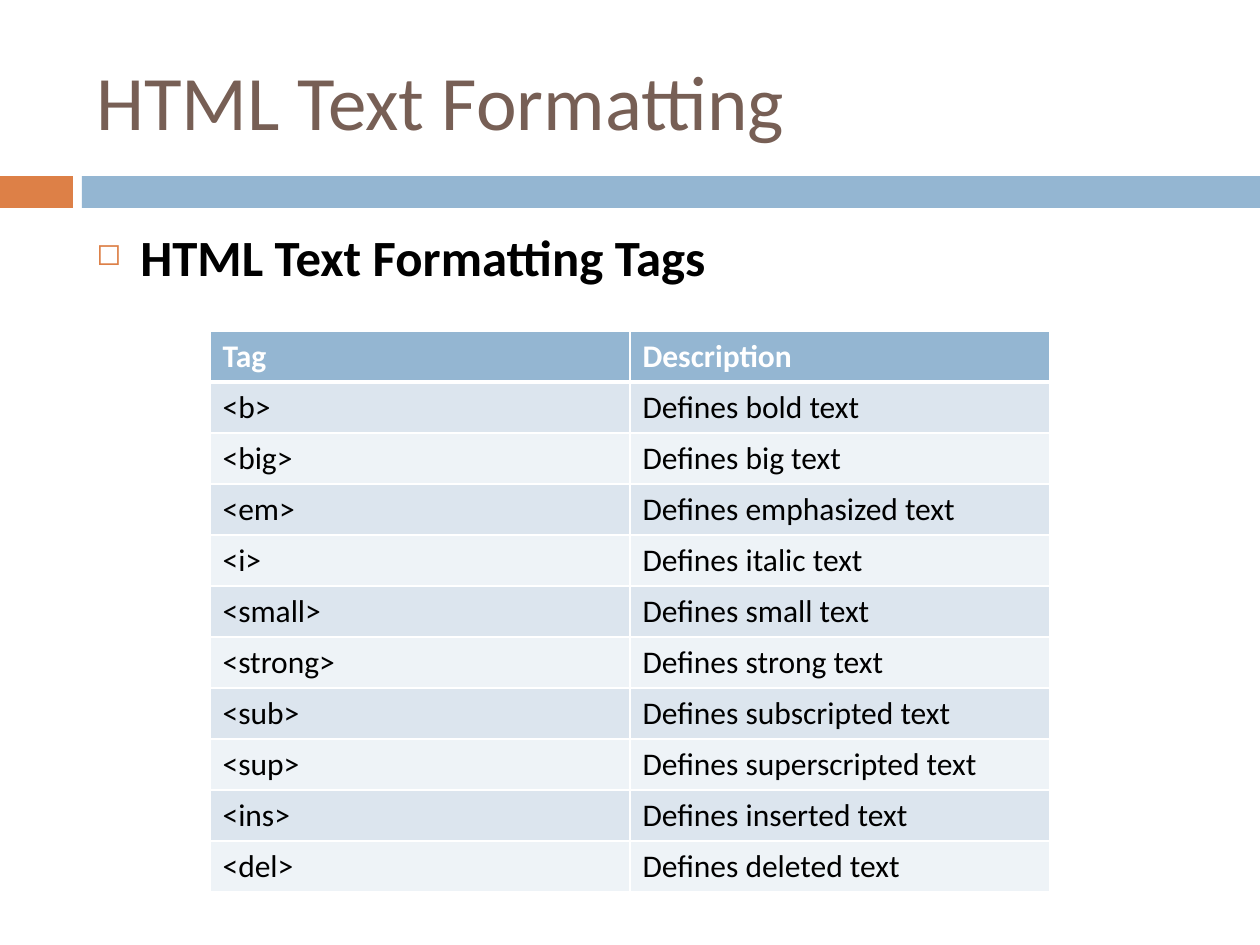
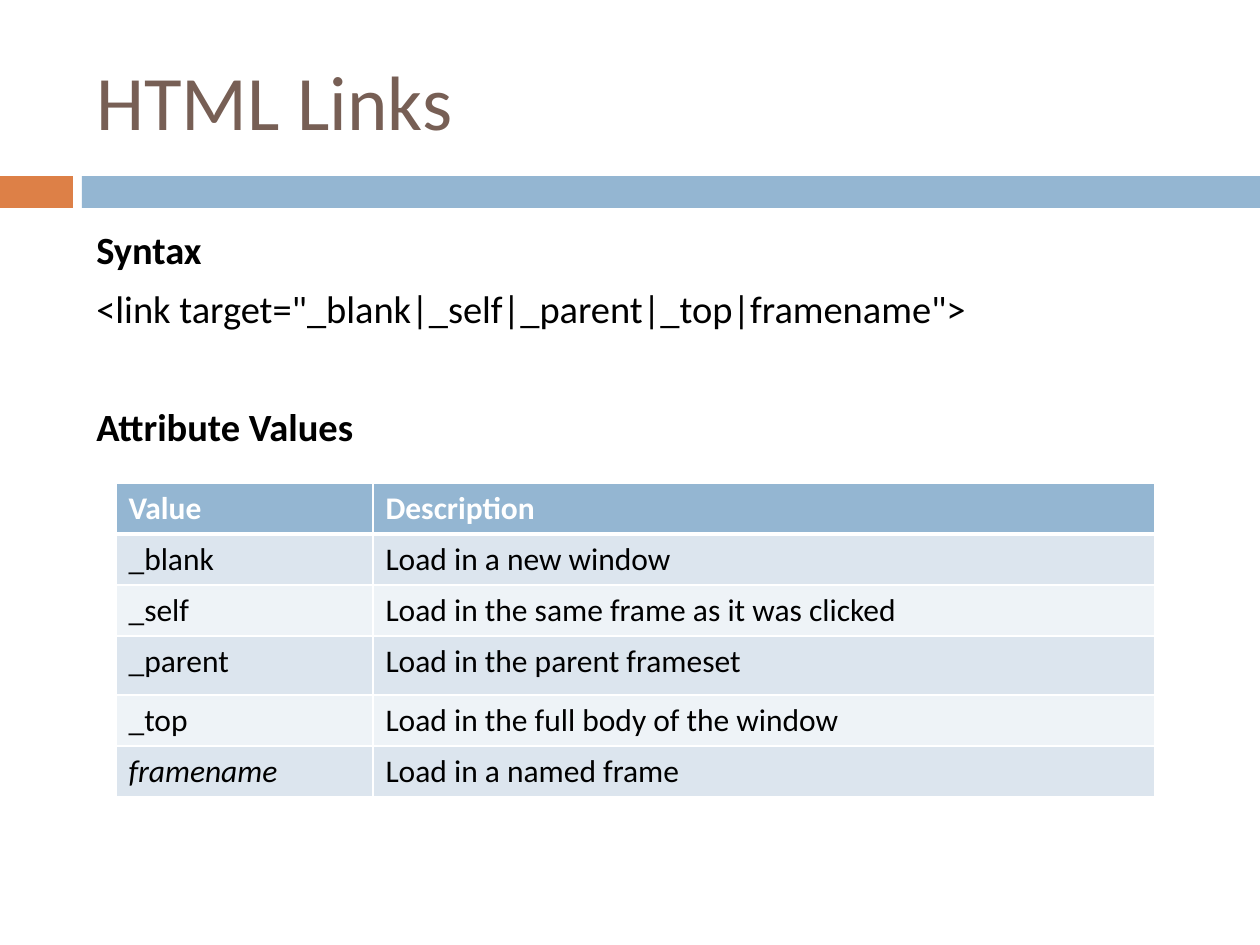
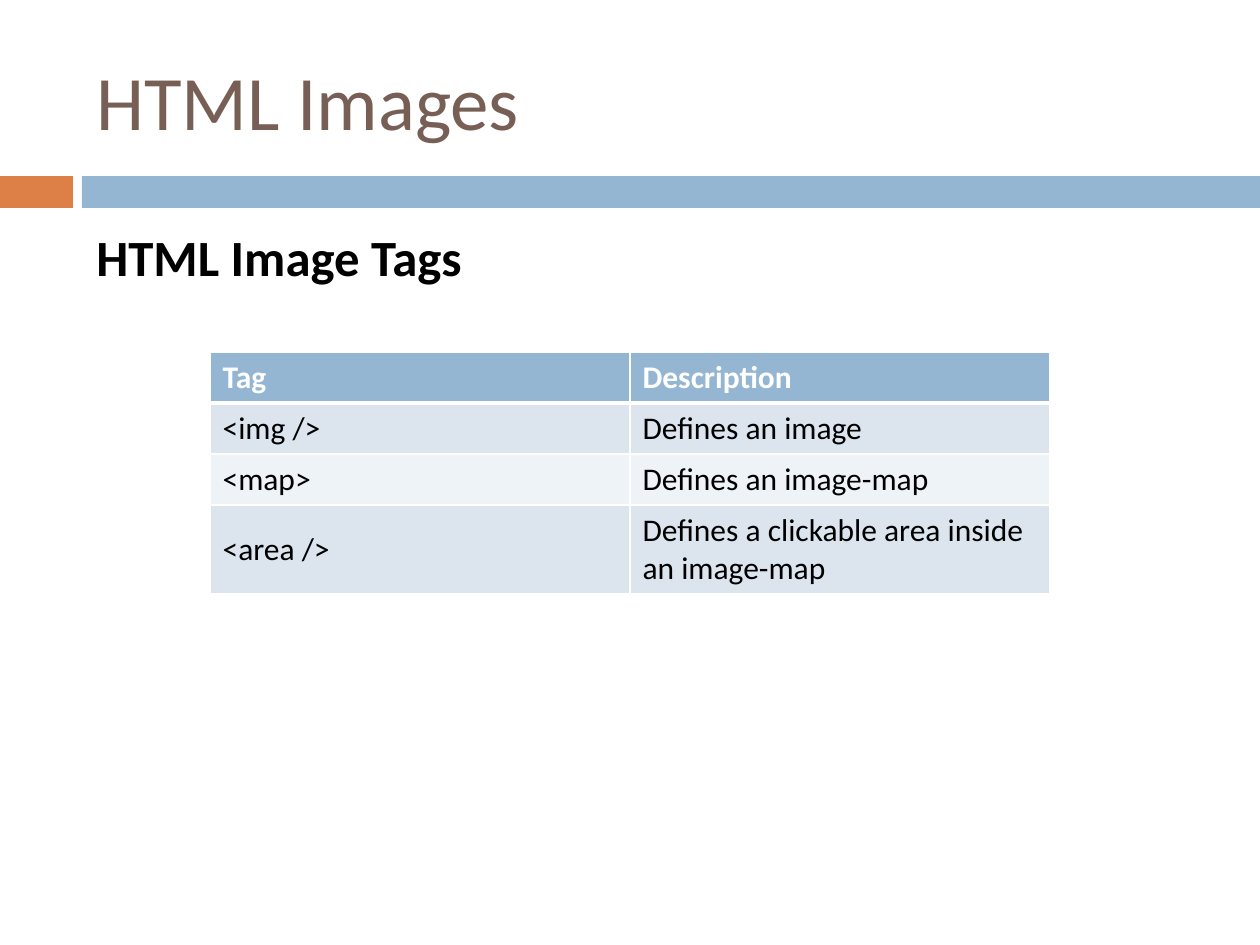
from dataclasses import dataclass

from lxml.etree import SubElement
from pptx import Presentation
from pptx.dml.color import RGBColor
from pptx.enum.shapes import MSO_SHAPE
from pptx.enum.text import MSO_ANCHOR
from pptx.oxml.ns import qn
from pptx.slide import Slide
from pptx.table import _Cell
from pptx.text.text import TextFrame, _Paragraph
from pptx.util import Emu, Pt

PX_PER_INCH = 126
FONT = "Calibri"
ORANGE, BLUE, BROWN = "DD8047", "94B6D2", "775F55"
BLACK, WHITE = "000000", "FFFFFF"
ROW_TINTS = ("DCE5EE", "EEF3F7")
ROW_HEIGHT = 51
BULLET_INDENT = 44


@dataclass(frozen=True)
class Box:
    left: int
    top: int
    width: int
    height: int


@dataclass(frozen=True)
class Line:
    text: str
    size: int
    bold: bool = True
    space_before: int = 0
    bullet: bool = False


@dataclass(frozen=True)
class TagTable:
    left: int
    top: int
    columns: tuple[int, ...]
    rows: tuple[tuple[str, ...], ...]
    tall_rows: tuple[tuple[int, int], ...] = ()
    anchor: MSO_ANCHOR = MSO_ANCHOR.MIDDLE
    italics: tuple[str, ...] = ()


@dataclass(frozen=True)
class Topic:
    title: str
    body: tuple[Line, ...]
    table: TagTable


BANDS = ((Box(0, 176, 73, 32), ORANGE), (Box(82, 176, 1178, 32), BLUE))
TITLE_BOX = Box(84, 32, 1124, 136)
BODY_BOX = Box(84, 220, 1124, 620)

TOPICS = (
    Topic(
        "HTML Text Formatting",
        (Line("HTML Text Formatting Tags", 29, bullet=True),),
        TagTable(210, 331, (420, 420), (
            ("Tag", "Description"),
            ("<b>", "Defines bold text"),
            ("<big>", "Defines big text"),
            ("<em>", "Defines emphasized text"),
            ("<i>", "Defines italic text"),
            ("<small>", "Defines small text"),
            ("<strong>", "Defines strong text"),
            ("<sub>", "Defines subscripted text"),
            ("<sup>", "Defines superscripted text"),
            ("<ins>", "Defines inserted text"),
            ("<del>", "Defines deleted text"),
        )),
    ),
    Topic(
        "HTML Links",
        (
            Line("Syntax", 22),
            Line('<link target="_blank|_self|_parent|_top|framename">', 22,
                 bold=False, space_before=7),
            Line("Attribute Values", 22, space_before=41),
        ),
        TagTable(116, 483, (257, 782), (
            ("Value", "Description"),
            ("_blank", "Load in a new window"),
            ("_self", "Load in the same frame as it was clicked"),
            ("_parent", "Load in the parent frameset"),
            ("_top", "Load in the full body of the window"),
            ("framename", "Load in a named frame"),
        ), tall_rows=((3, 59),), anchor=MSO_ANCHOR.TOP, italics=("framename",)),
    ),
    Topic(
        "HTML Images",
        (Line("HTML Image Tags", 29),),
        TagTable(210, 352, (420, 420), (
            ("Tag", "Description"),
            ("<img />", "Defines an image"),
            ("<map>", "Defines an image-map"),
            ("<area />", "Defines a clickable area inside an image-map"),
        ), tall_rows=((3, 89),)),
    ),
)


def px(length: int) -> Emu:
    return Emu(round(length * 914400 / PX_PER_INCH))


def place(box: Box) -> tuple[Emu, Emu, Emu, Emu]:
    return px(box.left), px(box.top), px(box.width), px(box.height)


def color(value: str) -> RGBColor:
    return RGBColor.from_string(value)


def add_run(paragraph: _Paragraph, text: str, size: int, ink: str,
            bold: bool = False, italic: bool = False) -> None:
    run = paragraph.add_run()
    run.text = text
    font = run.font
    font.name, font.size, font.bold, font.italic = FONT, Pt(size), bold, italic
    font.color.rgb = color(ink)


def add_frame(slide: Slide, box: Box, anchor: MSO_ANCHOR) -> TextFrame:
    frame = slide.shapes.add_textbox(*place(box)).text_frame
    frame.word_wrap = True
    frame.vertical_anchor = anchor
    return frame


def add_bullet(paragraph: _Paragraph) -> None:
    properties = paragraph._p.get_or_add_pPr()
    properties.set("marL", str(px(BULLET_INDENT)))
    properties.set("indent", str(-px(BULLET_INDENT)))
    tint = SubElement(properties, qn("a:buClr"))
    SubElement(tint, qn("a:srgbClr"), val=ORANGE)
    SubElement(properties, qn("a:buSzPct"), val="60000")
    SubElement(properties, qn("a:buChar"), char="◻")


def add_bands(slide: Slide) -> None:
    for box, fill in BANDS:
        band = slide.shapes.add_shape(MSO_SHAPE.RECTANGLE, *place(box))
        band.shadow.inherit = False
        band.fill.solid()
        band.fill.fore_color.rgb = color(fill)
        band.line.fill.background()


def add_body(slide: Slide, lines: tuple[Line, ...]) -> None:
    frame = add_frame(slide, BODY_BOX, MSO_ANCHOR.TOP)
    for index, line in enumerate(lines):
        paragraph = frame.add_paragraph() if index else frame.paragraphs[0]
        if line.space_before:
            paragraph.space_before = Pt(line.space_before)
        if line.bullet:
            add_bullet(paragraph)
        add_run(paragraph, line.text, line.size, BLACK, line.bold)


def set_borders(cell: _Cell, row: int) -> None:
    """Draw white rules, with a thicker one under the header row."""
    widths = {"lnL": 1, "lnR": 1, "lnT": 3 if row == 1 else 1, "lnB": 3 if row == 0 else 1}
    properties = cell._tc.get_or_add_tcPr()
    for side, width in widths.items():
        rule = SubElement(properties, qn(f"a:{side}"), w=str(Pt(width)))
        fill = SubElement(rule, qn("a:solidFill"))
        SubElement(fill, qn("a:srgbClr"), val=WHITE)


def add_tag_table(slide: Slide, data: TagTable) -> None:
    tall_rows = dict(data.tall_rows)
    heights = [tall_rows.get(row, ROW_HEIGHT) for row in range(len(data.rows))]
    box = Box(data.left, data.top, sum(data.columns), sum(heights))
    table = slide.shapes.add_table(len(heights), len(data.columns), *place(box)).table
    for column, width in zip(table.columns, data.columns):
        column.width = px(width)
    for row, (texts, height) in enumerate(zip(data.rows, heights)):
        table.rows[row].height = px(height)
        header = row == 0
        for column, text in enumerate(texts):
            cell = table.cell(row, column)
            cell.vertical_anchor = data.anchor
            set_borders(cell, row)
            cell.fill.solid()
            cell.fill.fore_color.rgb = color(BLUE if header else ROW_TINTS[(row - 1) % 2])
            add_run(cell.text_frame.paragraphs[0], text, 18,
                    WHITE if header else BLACK, header, text in data.italics)


def main() -> None:
    deck = Presentation()
    deck.slide_width, deck.slide_height = px(1260), px(945)
    for topic in TOPICS:
        slide = deck.slides.add_slide(deck.slide_layouts[6])
        add_bands(slide)
        title = add_frame(slide, TITLE_BOX, MSO_ANCHOR.MIDDLE)
        add_run(title.paragraphs[0], topic.title, 44, BROWN)
        add_body(slide, topic.body)
        add_tag_table(slide, topic.table)
    deck.save("out.pptx")


if __name__ == "__main__":
    main()
